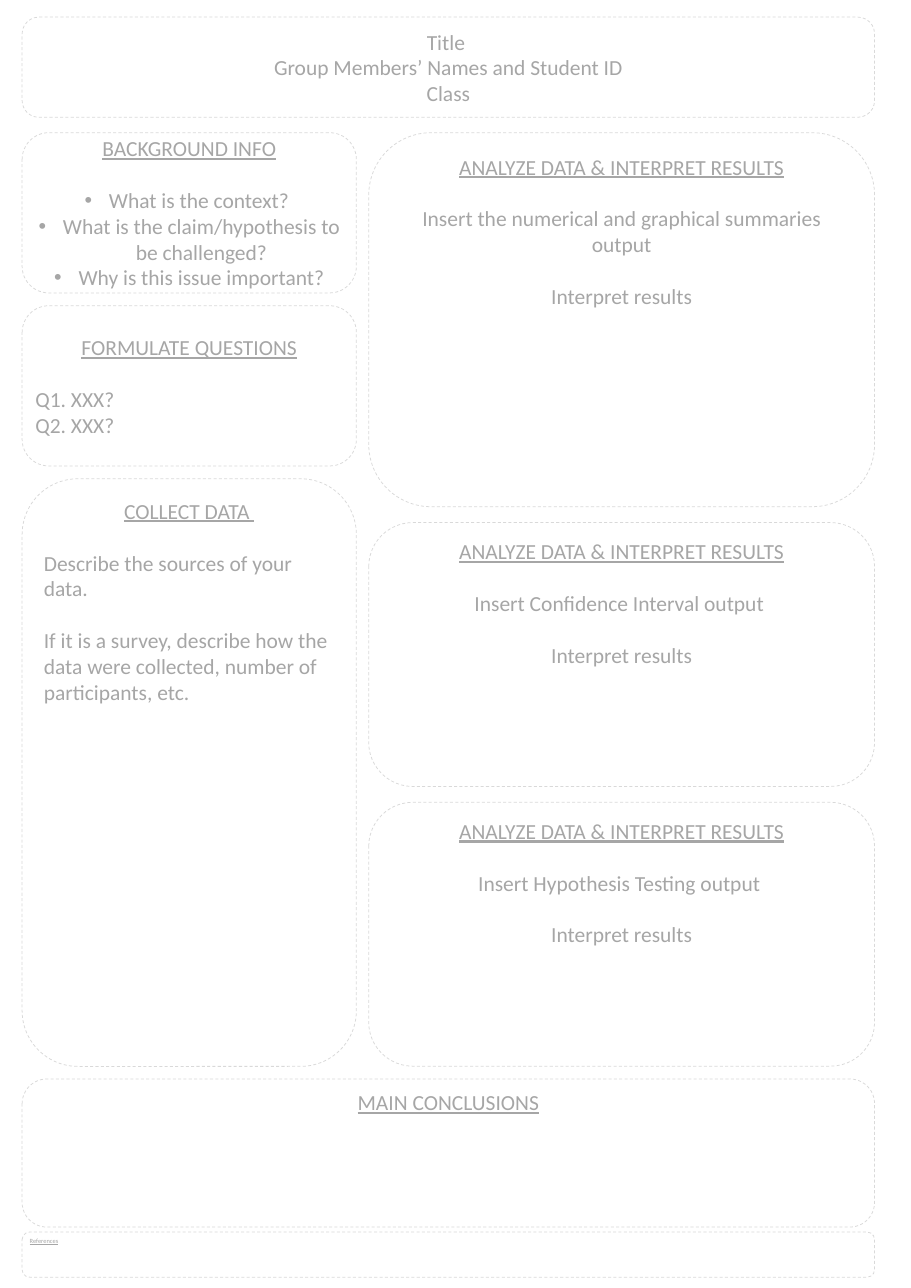
from lxml import etree
from pptx import Presentation
from pptx.dml.color import RGBColor
from pptx.enum.dml import MSO_LINE
from pptx.enum.shapes import MSO_SHAPE
from pptx.enum.text import MSO_ANCHOR as Anchor, PP_ALIGN as Align
from pptx.oxml.ns import qn
from pptx.util import Cm, Pt

# Content: heading, then groups of lines; a blank line's height separates groups
TITLE = ["Title ", "Group Members’ Names and Student ID", "Class"]
ANALYZE = "ANALYZE DATA & INTERPRET RESULTS"
LEFT_PANELS = [
    dict(height=7.39, heading="BACKGROUND INFO", bullet="•", anchor=Anchor.MIDDLE,
         groups=[["What is the context? ",
                  "What is the claim/hypothesis to be challenged?",
                  "Why is this issue important?"]]),
    dict(height=7.39, heading="FORMULATE QUESTIONS", align=Align.LEFT, anchor=Anchor.MIDDLE,
         groups=[["Q1. XXX?", "Q2. XXX?"]]),
    dict(height=27.1, heading="COLLECT DATA ", align=Align.LEFT,
         groups=[["Describe the sources of your data."],
                 ["If it is a survey, describe how the data were collected, "
                  "number of participants, etc."]]),
]
RIGHT_PANELS = [
    dict(height=height, heading=ANALYZE, groups=[[output], ["Interpret results"]])
    for height, output in [
        (17.25, "Insert the numerical and graphical summaries output"),
        (12.17, "Insert Confidence Interval output "),
        (12.17, "Insert Hypothesis Testing output "),
    ]
]
CONCLUSIONS = "MAIN CONCLUSIONS"
REFERENCES = "References"

# Format and layout (lengths in cm, text in points)
WHITE = RGBColor(0xFF, 0xFF, 0xFF)
BORDER = RGBColor(0xD9, 0xD9, 0xD9)
GREY = RGBColor(0xA6, 0xA6, 0xA6)
FONT, BODY_SIZE, REFERENCE_SIZE, GROUP_GAP = "Calibri", 28.1, 8.4, 34
A2_W, A2_H = Pt(1190.5), Pt(1683.75)  # A2 is exact in points
MARGIN, FULL_W = 1.02, 39.3
LEFT_W, RIGHT_W = 15.41, 23.32
COLUMNS_TOP, LEFT_GAP, RIGHT_GAP = 6.12, 0.59, 0.73
BULLET_INDENT = 1.12

poster = Presentation()
poster.slide_width, poster.slide_height = A2_W, A2_H
slide = poster.slides.add_slide(poster.slide_layouts[6])


def add_panel(left, top, width, height, anchor=Anchor.TOP):
    panel = slide.shapes.add_shape(MSO_SHAPE.ROUNDED_RECTANGLE,
                                   Cm(left), Cm(top), Cm(width), Cm(height))
    panel.shadow.inherit = False
    panel.fill.solid()
    panel.fill.fore_color.rgb = WHITE
    panel.line.color.rgb = BORDER
    panel.line.width = Pt(1)
    panel.line.dash_style = MSO_LINE.DASH
    panel.text_frame.word_wrap = True
    panel.text_frame.vertical_anchor = anchor
    return panel.text_frame


def write(frame, text, *, size=BODY_SIZE, underline=False, align=Align.CENTER,
          space_before=0, bullet=None):
    first = frame.paragraphs[0]
    line = frame.add_paragraph() if first.runs else first
    line.alignment = align
    line.space_before = Pt(space_before)
    run = line.add_run()
    run.text = text
    run.font.name, run.font.size = FONT, Pt(size)
    run.font.color.rgb = GREY
    run.font.underline = underline
    if bullet:
        props = line._p.get_or_add_pPr()
        props.set("marL", str(Cm(BULLET_INDENT)))
        props.set("indent", str(-Cm(BULLET_INDENT)))
        etree.SubElement(props, qn("a:buFont"), typeface="Arial")
        etree.SubElement(props, qn("a:buChar"), char=bullet)


def add_column(panels, left, width, gap):
    top = COLUMNS_TOP
    for panel in panels:
        frame = add_panel(left, top, width, panel["height"], panel.get("anchor", Anchor.TOP))
        write(frame, panel["heading"], underline=True)
        for group in panel["groups"]:
            for i, text in enumerate(group):
                write(frame, text, align=panel.get("align", Align.CENTER),
                      bullet=panel.get("bullet"), space_before=0 if i else GROUP_GAP)
        top += panel["height"] + gap


# Title band
title = add_panel(MARGIN, 0.79, FULL_W, 4.62, Anchor.MIDDLE)
for title_line in TITLE:
    write(title, title_line)

# Two columns, sharing the outer edges of the title band
add_column(LEFT_PANELS, MARGIN, LEFT_W, LEFT_GAP)
add_column(RIGHT_PANELS, MARGIN + FULL_W - RIGHT_W, RIGHT_W, RIGHT_GAP)

# Conclusions and references
write(add_panel(MARGIN, 49.76, FULL_W, 6.83), CONCLUSIONS, underline=True)
write(add_panel(MARGIN, 56.82, FULL_W, 2.08), REFERENCES,
      size=REFERENCE_SIZE, underline=True, align=Align.LEFT)

poster.save("out.pptx")
